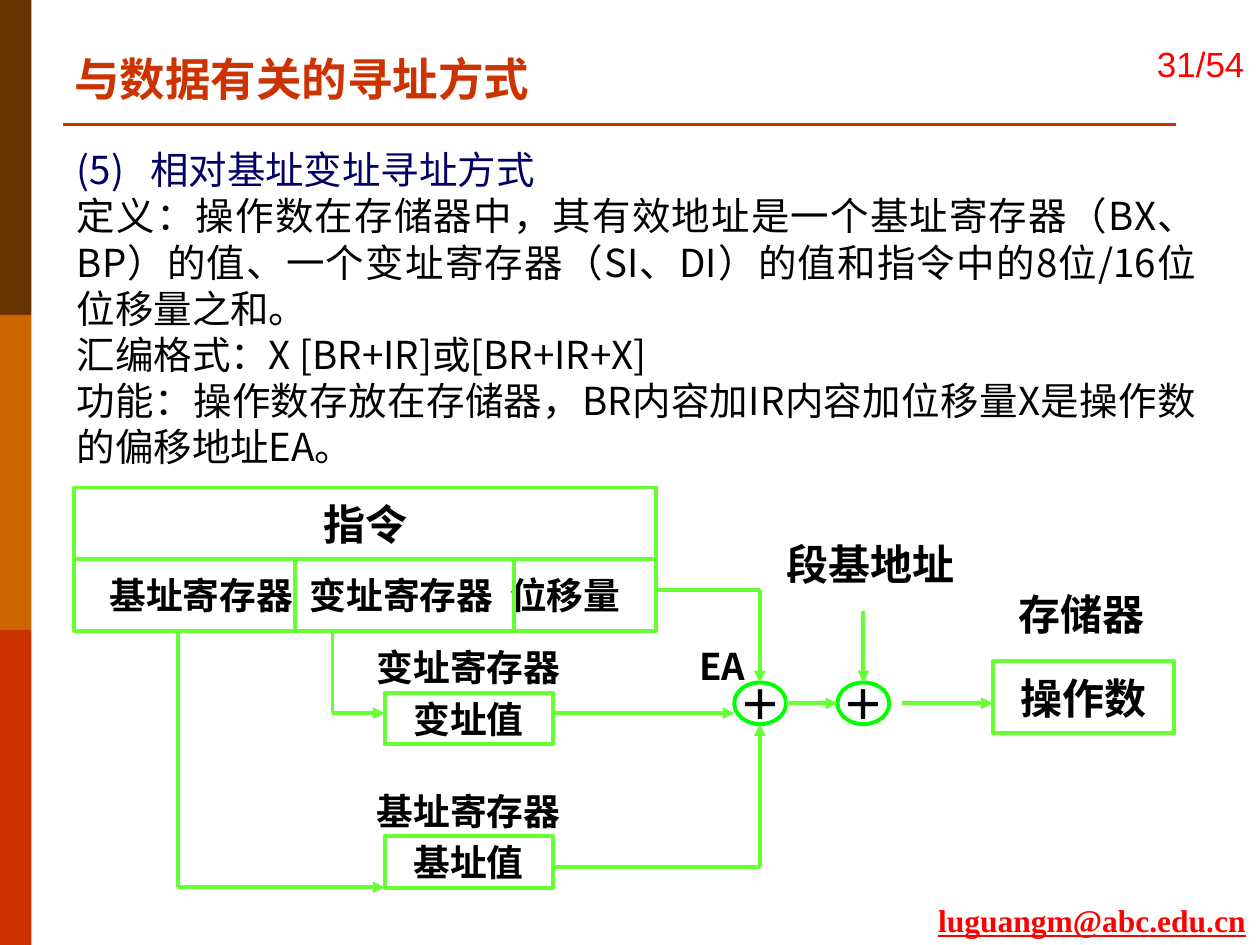
from typing import NamedTuple

from pptx import Presentation
from pptx.dml.color import RGBColor
from pptx.enum.shapes import MSO_CONNECTOR, MSO_SHAPE
from pptx.enum.text import MSO_ANCHOR, MSO_AUTO_SIZE, PP_ALIGN
from pptx.oxml.ns import qn
from pptx.util import Pt
from lxml.etree import SubElement

RED = RGBColor(0xFF, 0, 0)
RUST = RGBColor(0xCC, 0x33, 0)
ORANGE = RGBColor(0xCC, 0x66, 0)
BROWN = RGBColor(0x66, 0x33, 0)
NAVY = RGBColor(0, 0, 0x66)
BLACK = RGBColor(0, 0, 0)
LIME = RGBColor(0x66, 0xFF, 0x33)
GREEN = RGBColor(0, 0xFF, 0)

SERIF = "Times New Roman"
SANS = "Noto Sans CJK SC"
BOLD = "Noto Sans CJK JP"


class Area(NamedTuple):
    left: float
    top: float
    width: float
    height: float

    def points(self) -> list:
        return [Pt(v) for v in self]


class Label(NamedTuple):
    text: str
    area: Area
    size: float = 21


class Node(NamedTuple):
    text: str
    area: Area
    size: float = 24
    kind: MSO_SHAPE = MSO_SHAPE.RECTANGLE
    color: RGBColor = LIME


class Route(NamedTuple):
    """A chain of straight lines through the given points."""
    stops: list
    arrow: bool = True


# Instruction word and the rows beneath it
LEFT, WIDE, ROW = 42.5, 332.6, 41
HEAD = 278.6
FIELD = HEAD + ROW
BASE = FIELD + ROW
RIGHT = LEFT + WIDE
# Register values and adders
REG, REG_W, REG_H = 219.8, 96, 29.6
REG_END = REG + REG_W
SUM_X, SUM_Y, SUM_W, SUM_H = 419.6, 390, 29.6, 23.8
STEP = 59
MID = SUM_Y + SUM_H / 2
SUM_MID = 434.2
SEG_MID = SUM_X + STEP + SUM_W / 2
MEM = 567.4

FIELDS = "基址寄存器\t变址寄存器\t位移量"

NODES = [
    Node("指令", Area(LEFT, HEAD, WIDE, ROW)),
    Node("变址值", Area(REG, 395.8, REG_W, REG_H), 21),
    Node("基址值", Area(REG, 477.8, REG_W, REG_H), 21),
    Node("操作数", Area(MEM, 378, 103.7, ROW)),
] + [
    Node("＋", Area(SUM_X + i * STEP, SUM_Y, SUM_W, SUM_H),
         kind=MSO_SHAPE.OVAL, color=GREEN)
    for i in range(2)
]

LABELS = [
    Label("变址寄存器", Area(190, BASE, 155.5, ROW)),
    Label("基址寄存器", Area(190, 442.8, 155.5, ROW)),
    Label("段基地址", Area(SUM_X, 301.7, 155.5, ROW), 24),
    Label("存储器", Area(531.4, 325.4, 173.5, 51.1), 24),
]

ROUTES = [
    Route([(168.5, FIELD), (168.5, BASE)], False),
    Route([(293.8, FIELD), (293.8, BASE)], False),
    Route([(101.5, BASE), (101.5, 507), (REG, 507)]),
    Route([(190, BASE), (190, 407.5), (REG, 407.5)]),
    Route([(REG_END, 407.5), (SUM_X, 407.5)]),
    Route([(REG_END, 495.4), (SUM_MID, 495.4), (SUM_MID, SUM_Y + SUM_H)]),
    Route([(RIGHT, 337), (SUM_MID, 337), (SUM_MID, SUM_Y)]),
    Route([(SUM_X + SUM_W, MID), (SUM_X + STEP, MID)]),
    Route([(SEG_MID, 349.2), (SEG_MID, SUM_Y)]),
    Route([(515.5, MID), (MEM, MID)]),
]

# Text, colour and hanging indent of each paragraph
BODY = [
    ("(5)\t相对基址变址寻址方式", NAVY, 42),
    ("定义：操作数在存储器中，其有效地址是一个基址寄存器（BX、BP）的值、"
     "一个变址寄存器（SI、DI）的值和指令中的8位/16位位移量之和。", BLACK, 0),
    ("汇编格式：X [BR+IR]或[BR+IR+X]", BLACK, 0),
    ("功能：操作数存放在存储器，BR内容加IR内容加位移量X是操作数的偏移地址EA。",
     BLACK, 0),
]


def setup(frame, pad: tuple = (0, 0), wrap: bool = False,
          anchor: MSO_ANCHOR = MSO_ANCHOR.MIDDLE) -> None:
    frame.auto_size = MSO_AUTO_SIZE.NONE
    frame.word_wrap = wrap
    frame.vertical_anchor = anchor
    frame.margin_left = frame.margin_right = Pt(pad[0])
    frame.margin_top = frame.margin_bottom = Pt(pad[1])


def write(para, text: str, *, size: float = 21, font: str = BOLD,
          asian: str = BOLD, color: RGBColor = BLACK, bold: bool = True,
          under: bool = False, align: PP_ALIGN = PP_ALIGN.CENTER) -> None:
    para.alignment = align
    run = para.add_run()
    run.text = text
    face = run.font
    face.size, face.name, face.bold = Pt(size), font, bold
    face.underline = under
    face.color.rgb = color
    SubElement(run._r.get_or_add_rPr(), qn("a:ea"), typeface=asian)


def tabs(para, *stops: float) -> None:
    group = SubElement(para._p.get_or_add_pPr(), qn("a:tabLst"))
    for stop in stops:
        SubElement(group, qn("a:tab"), pos=str(Pt(stop)), algn="l")


def shape(slide, kind: MSO_SHAPE, area: Area, fill=None, line=None):
    item = slide.shapes.add_shape(kind, *area.points())
    item.shadow.inherit = False
    if fill is None:
        item.fill.background()
    else:
        item.fill.solid()
        item.fill.fore_color.rgb = fill
    if line is None:
        item.line.fill.background()
    else:
        item.line.color.rgb = line
        item.line.width = Pt(2.25)
    setup(item.text_frame)
    return item


def label(slide, text: str, area: Area, pad: float = 0, **form) -> None:
    frame = slide.shapes.add_textbox(*area.points()).text_frame
    setup(frame, (pad, 0))
    write(frame.paragraphs[0], text, **form)


def line(slide, start: tuple, end: tuple, color: RGBColor = LIME,
         width: float = 2.25, arrow: bool = False) -> None:
    item = slide.shapes.add_connector(
        MSO_CONNECTOR.STRAIGHT, *[Pt(v) for v in (*start, *end)])
    item.line.color.rgb = color
    item.line.width = Pt(width)
    if arrow:
        SubElement(item.line._get_or_add_ln(), qn("a:tailEnd"), type="triangle")
    SubElement(item._element.spPr, qn("a:effectLst"))


def place(item, area: Area) -> None:
    item.left, item.top, item.width, item.height = area.points()


def frame_page(slide) -> None:
    """Draw the side band, rule, page number and address."""
    for i, color in enumerate((BROWN, ORANGE, RUST)):
        shape(slide, MSO_SHAPE.RECTANGLE, Area(0, i * 180, 18, 180), fill=color)
    line(slide, (36, 71.3), (671.8, 71.3), RUST, 1.5)
    label(slide, "luguangm@abc.edu.cn", Area(530, 511.2, 188, 28.8),
          size=18, font=SERIF, color=RED, under=True)
    label(slide, "31/54", Area(652.3, 0.7, 67.7, 70.6),
          size=20, font="Arial", color=RED, bold=False)


def fill_text(slide) -> None:
    title, body = slide.placeholders
    place(title, Area(35.3, 25.2, 503.3, 38.9))
    setup(title.text_frame, (7.2, 3.6), True)
    write(title.text_frame.paragraphs[0], "与数据有关的寻址方式", size=26,
          font=SERIF, asian=SANS, color=RUST, align=PP_ALIGN.LEFT)
    place(body, Area(35.3, 79.2, 656.6, 195.1))
    frame = body.text_frame
    setup(frame, (8.6, 4.3), True, MSO_ANCHOR.TOP)
    for i, (text, color, hang) in enumerate(BODY):
        para = frame.add_paragraph() if i else frame.paragraphs[0]
        write(para, text, size=22, font=SANS, asian=SANS, color=color,
              bold=False, align=PP_ALIGN.JUSTIFY)
        para.space_before = Pt(0)
        para.line_spacing = Pt(26.4)
        props = para._p.get_or_add_pPr()
        props.set("marL", str(Pt(hang)))
        props.set("indent", str(Pt(-hang)))
        SubElement(props, qn("a:buNone"))


def draw_flow(slide) -> None:
    row = shape(slide, MSO_SHAPE.RECTANGLE, Area(LEFT, FIELD, WIDE, ROW), line=LIME)
    setup(row.text_frame, (20, 0), True)
    row.text_frame.margin_right = Pt(0)
    para = row.text_frame.paragraphs[0]
    write(para, FIELDS, align=PP_ALIGN.LEFT)
    tabs(para, 114.5, 229)
    for node in NODES:
        item = shape(slide, node.kind, node.area, line=node.color)
        write(item.text_frame.paragraphs[0], node.text, size=node.size)
    for text, area, size in LABELS:
        label(slide, text, area, size=size)
    label(slide, "EA", Area(389.5, 366.5, 59, 28), 10, align=PP_ALIGN.LEFT)
    for stops, arrow in ROUTES:
        last = len(stops) - 2
        for i, (start, end) in enumerate(zip(stops, stops[1:])):
            line(slide, start, end, arrow=arrow and i == last)


def main() -> None:
    deck = Presentation()
    deck.slide_width, deck.slide_height = Pt(720), Pt(540)
    slide = deck.slides.add_slide(deck.slide_layouts[1])
    frame_page(slide)
    fill_text(slide)
    draw_flow(slide)
    deck.save("out.pptx")


if __name__ == "__main__":
    main()
